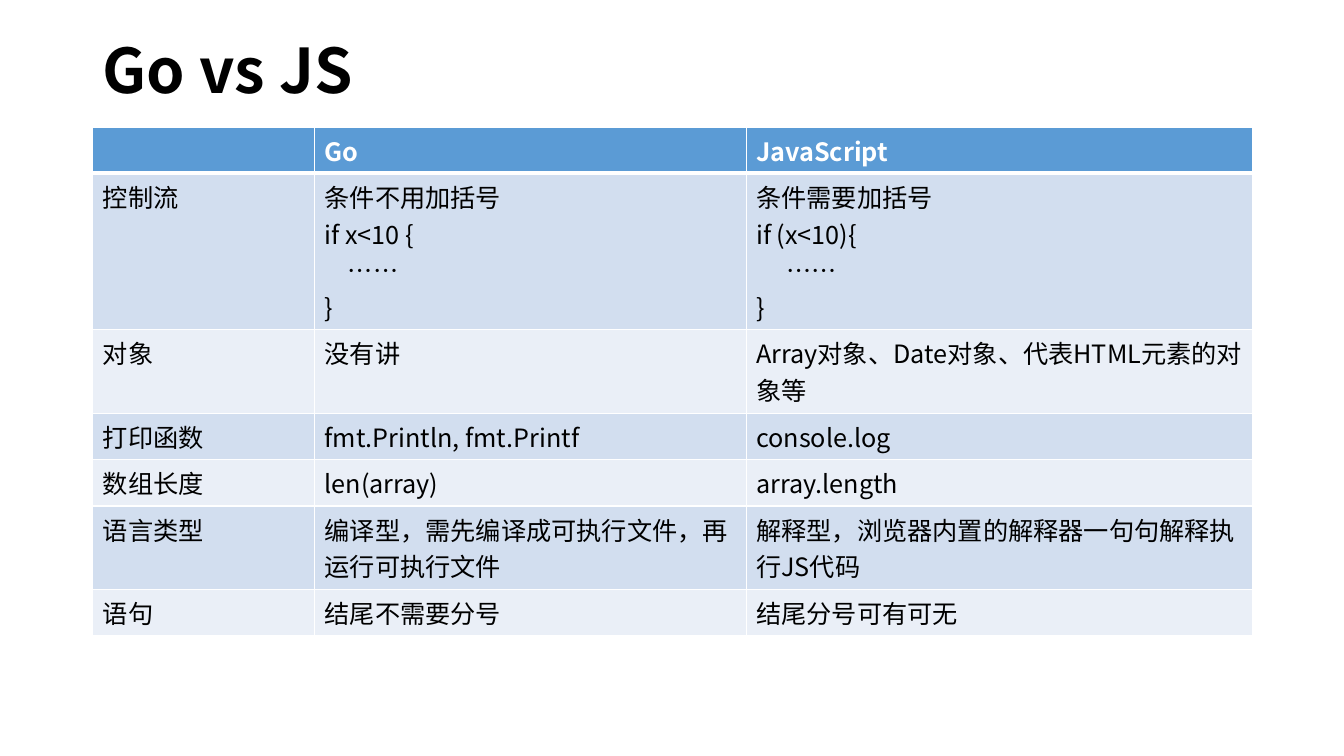
from dataclasses import dataclass

from lxml.etree import SubElement
from pptx import Presentation
from pptx.dml.color import RGBColor
from pptx.enum.lang import MSO_LANGUAGE_ID
from pptx.enum.text import MSO_ANCHOR
from pptx.oxml.ns import qn
from pptx.util import Inches, Pt


@dataclass(frozen=True)
class Theme:
    font: str = "Noto Sans CJK SC"
    title_size: int = 44
    table_size: int = 18
    ink: str = "000000"
    white: str = "FFFFFF"
    header: str = "5B9BD5"
    bands: tuple = ("D2DEEF", "EAEFF7")


theme = Theme()


def add_words(paragraph, words, size, color, bold):
    run = paragraph.add_run()
    run.text = words
    formats = {
        "name": theme.font,
        "size": Pt(size),
        "bold": bold,
        "language_id": MSO_LANGUAGE_ID.SIMPLIFIED_CHINESE,
    }
    for attribute, value in formats.items():
        setattr(run.font, attribute, value)
    run.font.color.rgb = RGBColor.from_string(color)
    SubElement(run.font._element, qn("a:ea"), typeface=theme.font)


def add_borders(cell, widths):
    """Draw white borders; call before the fill is set, as the schema orders them."""
    properties = cell._tc.get_or_add_tcPr()
    for side, width in widths.items():
        line = SubElement(properties, qn(f"a:ln{side}"), w=str(Pt(width)))
        fill = SubElement(line, qn("a:solidFill"))
        SubElement(fill, qn("a:srgbClr"), val=theme.white)


presentation = Presentation()
presentation.slide_width = Inches(13.33)
presentation.slide_height = Inches(7.5)
slide = presentation.slides.add_slide(presentation.slide_layouts[6])

# Title
title = slide.shapes.add_textbox(Inches(0.92), 0, Inches(11.5), Inches(1.45)).text_frame
title.word_wrap = True
title.vertical_anchor = MSO_ANCHOR.MIDDLE
title.paragraphs[0].line_spacing = 0.9
add_words(title.paragraphs[0], "Go vs JS", theme.title_size, theme.ink, True)

# Comparison table
comparison = [
    ("", "Go", "JavaScript"),
    ("控制流", "条件不用加括号\nif x<10 {\n……\n}", "条件需要加括号\nif (x<10){\n……\n}"),
    ("对象", "没有讲", "Array对象、Date对象、代表HTML元素的对象等"),
    ("打印函数", "fmt.Println, fmt.Printf", "console.log"),
    ("数组长度", "len(array)", "array.length"),
    ("语言类型", "编译型，需先编译成可执行文件，再运行可执行文件",
     "解释型，浏览器内置的解释器一句句解释执行JS代码"),
    ("语句", "结尾不需要分号", "结尾分号可有可无"),
]
column_widths = (2.2, 4.28, 5.02)
code_indents = (0, 0.23, 0.3)
height_by_lines = {1: 0.46, 2: 0.83, 4: 1.55}
row_heights = [height_by_lines[lines] for lines in (1, 4, 2, 1, 1, 2, 1)]

table = slide.shapes.add_table(
    len(comparison), len(column_widths), Inches(0.92), Inches(1.26),
    Inches(sum(column_widths)), Inches(sum(row_heights)),
).table
for column, width in zip(table.columns, column_widths):
    column.width = Inches(width)

for row_index, entries in enumerate(comparison):
    table.rows[row_index].height = Inches(row_heights[row_index])
    is_header = row_index == 0
    background = theme.header if is_header else theme.bands[(row_index - 1) % 2]
    ink = theme.white if is_header else theme.ink
    borders = {"L": 1, "R": 1, "T": 3 if row_index == 1 else 1, "B": 3 if is_header else 1}
    for column_index, entry in enumerate(entries):
        cell = table.cell(row_index, column_index)
        add_borders(cell, borders)
        cell.fill.solid()
        cell.fill.fore_color.rgb = RGBColor.from_string(background)
        for line_index, words in enumerate(entry.splitlines()):
            frame = cell.text_frame
            paragraph = frame.add_paragraph() if line_index else frame.paragraphs[0]
            if words == "……":
                indent = Inches(code_indents[column_index])
                paragraph._p.get_or_add_pPr().set("marL", str(indent))
            add_words(paragraph, words, theme.table_size, ink, is_header)

presentation.save("out.pptx")
